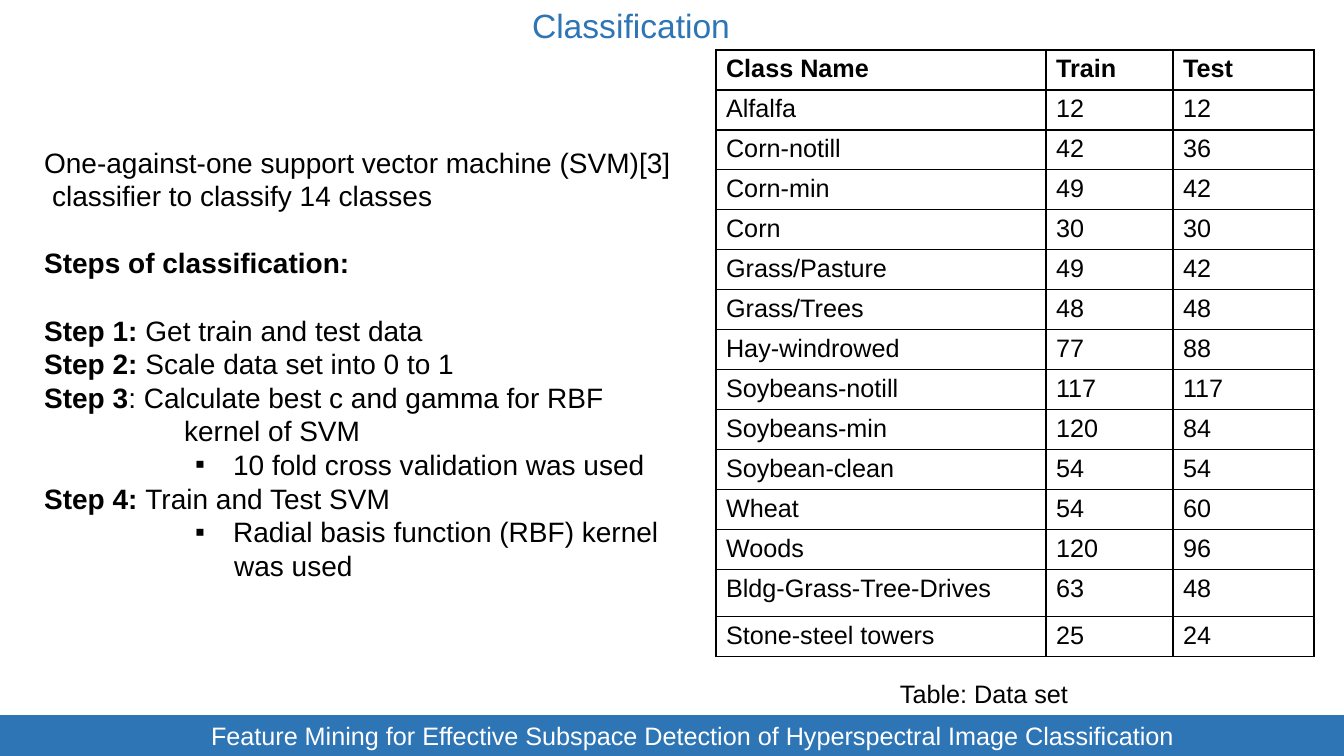
from dataclasses import dataclass

from lxml import etree
from pptx import Presentation
from pptx import util as u
from pptx.dml.color import RGBColor
from pptx.enum import shapes, text
from pptx.oxml import ns

COLORS = {"blue": "2E75B6", "white": "FFFFFF", "black": "000000"}
FONT = "Arial"
EMU_PER_PX = 914400 / 100.8
COLUMN_WIDTHS = (330, 127, 141)
ROW_HEIGHT, TALL_ROW_HEIGHT = 40, 47
TALL_CLASS = "Bldg-Grass-Tree-Drives"


@dataclass(frozen=True)
class Box:
    left: int
    top: int
    width: int
    height: int


@dataclass(frozen=True)
class Line:
    label: str = ""
    words: str = ""
    indent: int = 0
    bullet: bool = False
    gap_before: int = 0


@dataclass(frozen=True)
class ClassSize:
    name: str
    train: str
    test: str


LINES = (
    Line(words="One-against-one support vector machine (SVM)[3]"),
    Line(words="classifier to classify 14 classes", indent=8),
    Line("Steps of classification:", gap_before=24),
    Line("Step 1: ", "Get train and test data", gap_before=24),
    Line("Step 2: ", "Scale data set into 0 to 1"),
    Line("Step 3", ": Calculate best c and gamma for RBF"),
    Line(words="kernel of SVM", indent=140),
    Line(words="10 fold cross validation was used", indent=189, bullet=True),
    Line("Step 4: ", "Train and Test SVM"),
    Line(words="Radial basis function (RBF) kernel", indent=189, bullet=True),
    Line(words="was used", indent=190),
)

DATA_SET = (
    ClassSize("Class Name", "Train", "Test"),
    ClassSize("Alfalfa", "12", "12"),
    ClassSize("Corn-notill", "42", "36"),
    ClassSize("Corn-min", "49", "42"),
    ClassSize("Corn", "30", "30"),
    ClassSize("Grass/Pasture", "49", "42"),
    ClassSize("Grass/Trees", "48", "48"),
    ClassSize("Hay-windrowed", "77", "88"),
    ClassSize("Soybeans-notill", "117", "117"),
    ClassSize("Soybeans-min", "120", "84"),
    ClassSize("Soybean-clean", "54", "54"),
    ClassSize("Wheat", "54", "60"),
    ClassSize("Woods", "120", "96"),
    ClassSize(TALL_CLASS, "63", "48"),
    ClassSize("Stone-steel towers", "25", "24"),
)


def px(length: int) -> u.Emu:
    return u.Emu(round(length * EMU_PER_PX))


def place(box: Box) -> tuple:
    return px(box.left), px(box.top), px(box.width), px(box.height)


def move(shape, box: Box) -> None:
    shape.left, shape.top, shape.width, shape.height = place(box)


def set_font(paragraph, size: int, color: str, bold: bool | None = False) -> None:
    font = paragraph.font
    font.name, font.size, font.bold = FONT, u.Pt(size), bold
    font.color.rgb = RGBColor.from_string(COLORS[color])


def write_band(shape, words: str, size: int, color: str, fill: str, inset: int) -> None:
    shape.fill.solid()
    shape.fill.fore_color.rgb = RGBColor.from_string(COLORS[fill])
    frame = shape.text_frame
    frame.word_wrap = True
    frame.auto_size = text.MSO_AUTO_SIZE.NONE
    frame.vertical_anchor = text.MSO_ANCHOR.MIDDLE
    frame.margin_left = px(inset)
    frame.text = words
    frame.paragraphs[0].alignment = text.PP_ALIGN.LEFT
    set_font(frame.paragraphs[0], size, color)


def write_line(paragraph, line: Line) -> None:
    properties = paragraph._p.get_or_add_pPr()
    properties.set("marL", str(px(line.indent)))
    properties.set("indent", str(px(-38 if line.bullet else 0)))
    if line.bullet:
        paragraph.level = 3
        etree.SubElement(properties, ns.qn("a:buChar")).set("char", "▪")
    else:
        etree.SubElement(properties, ns.qn("a:buNone"))
    paragraph.alignment = text.PP_ALIGN.LEFT
    paragraph.space_before = u.Pt(line.gap_before)
    mixed = bool(line.label and line.words)
    set_font(paragraph, 20, "black", None if mixed else bool(line.label))
    for words, bold in ((line.label, True), (line.words, False)):
        if words:
            run = paragraph.add_run()
            run.text = words
            if mixed:
                run.font.bold = bold


def write_body(body, lines: tuple[Line, ...]) -> None:
    frame = body.text_frame
    frame.word_wrap = False
    frame.auto_size = text.MSO_AUTO_SIZE.NONE
    frame.vertical_anchor = text.MSO_ANCHOR.TOP
    for number, line in enumerate(lines):
        write_line(frame.add_paragraph() if number else frame.paragraphs[0], line)


def add_borders(cell) -> None:
    properties = cell._tc.get_or_add_tcPr()
    for position, side in enumerate(("lnL", "lnR", "lnT", "lnB")):
        border = etree.Element(ns.qn(f"a:{side}"), w=str(u.Pt(1)))
        fill = etree.SubElement(border, ns.qn("a:solidFill"))
        etree.SubElement(fill, ns.qn("a:srgbClr"), val=COLORS["black"])
        properties.insert(position, border)


def add_data_set(slide, box: Box) -> None:
    frame = slide.shapes.add_table(len(DATA_SET), len(COLUMN_WIDTHS), *place(box))
    table = frame.table
    table.first_row = table.horz_banding = False
    for column, width in zip(table.columns, COLUMN_WIDTHS):
        column.width = px(width)
    for number, (row, entry) in enumerate(zip(table.rows, DATA_SET)):
        row.height = px(TALL_ROW_HEIGHT if entry.name == TALL_CLASS else ROW_HEIGHT)
        for cell, words in zip(row.cells, (entry.name, entry.train, entry.test)):
            cell.text = words
            cell.fill.background()
            set_font(cell.text_frame.paragraphs[0], 18, "black", number == 0)
            add_borders(cell)


def main() -> None:
    deck = Presentation()
    deck.slide_width, deck.slide_height = px(1344), px(756)
    slide = deck.slides.add_slide(deck.slide_layouts[1])

    title, steps = slide.shapes.title, slide.placeholders[1]
    move(title, Box(0, 0, 1344, 50))
    write_band(title, "Classification", 24, "blue", "white", 532)

    footer = slide.shapes.add_shape(
        shapes.MSO_SHAPE.RECTANGLE, *place(Box(0, 715, 1344, 41))
    )
    footer.shadow.inherit = False
    footer.line.fill.background()
    write_band(
        footer,
        "Feature Mining for Effective Subspace Detection of Hyperspectral Image Classification",
        18, "white", "blue", 211,
    )

    add_data_set(slide, Box(716, 50, 598, 607))

    caption = slide.shapes.add_textbox(*place(Box(890, 673, 189, 40))).text_frame
    caption.word_wrap = False
    caption.text = "Table: Data set"
    set_font(caption.paragraphs[0], 18, "black")

    move(steps, Box(34, 140, 648, 485))
    write_body(steps, LINES)
    deck.save("out.pptx")


if __name__ == "__main__":
    main()
